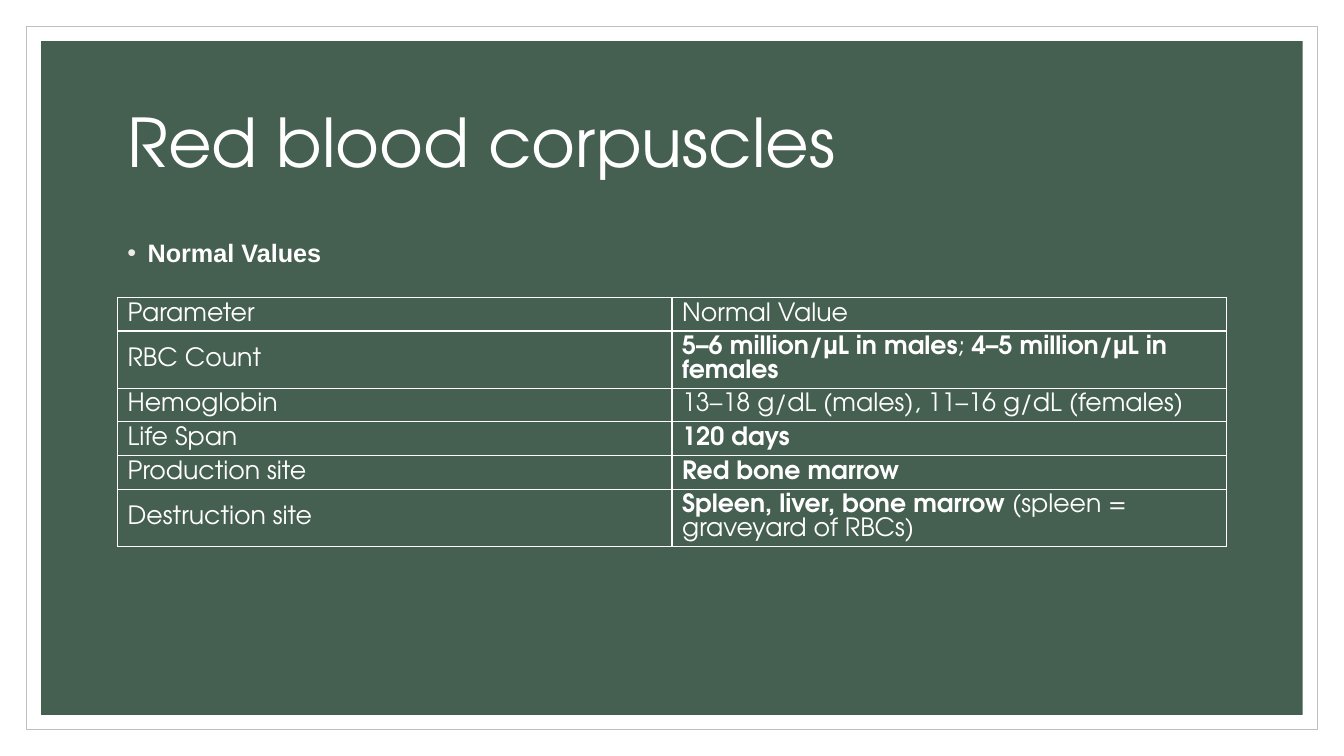
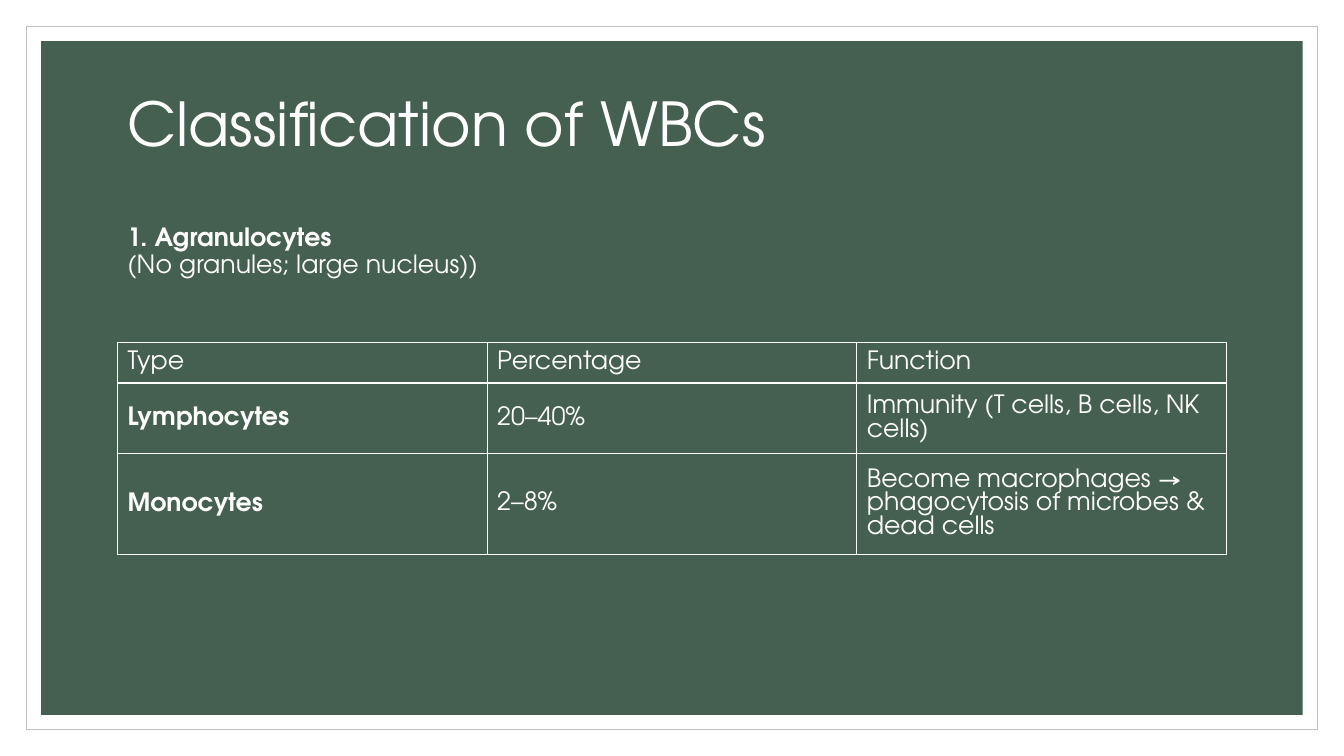
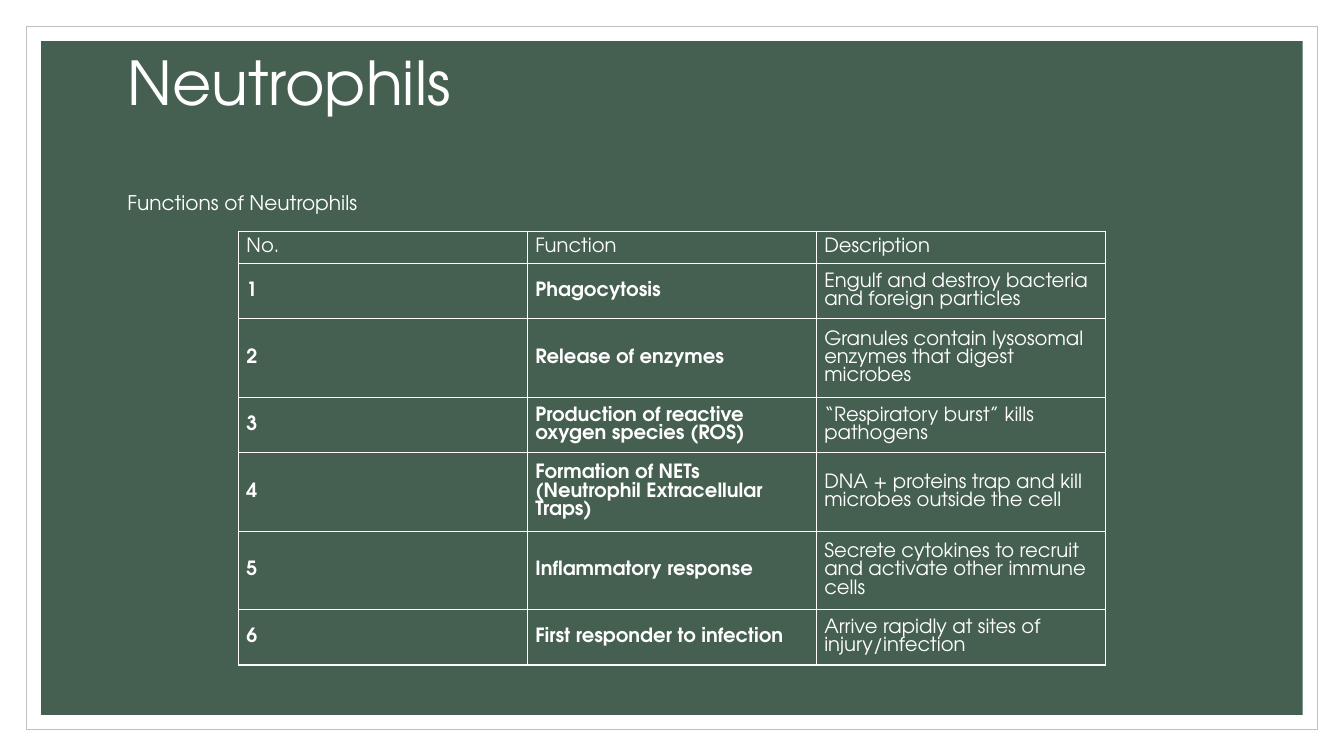
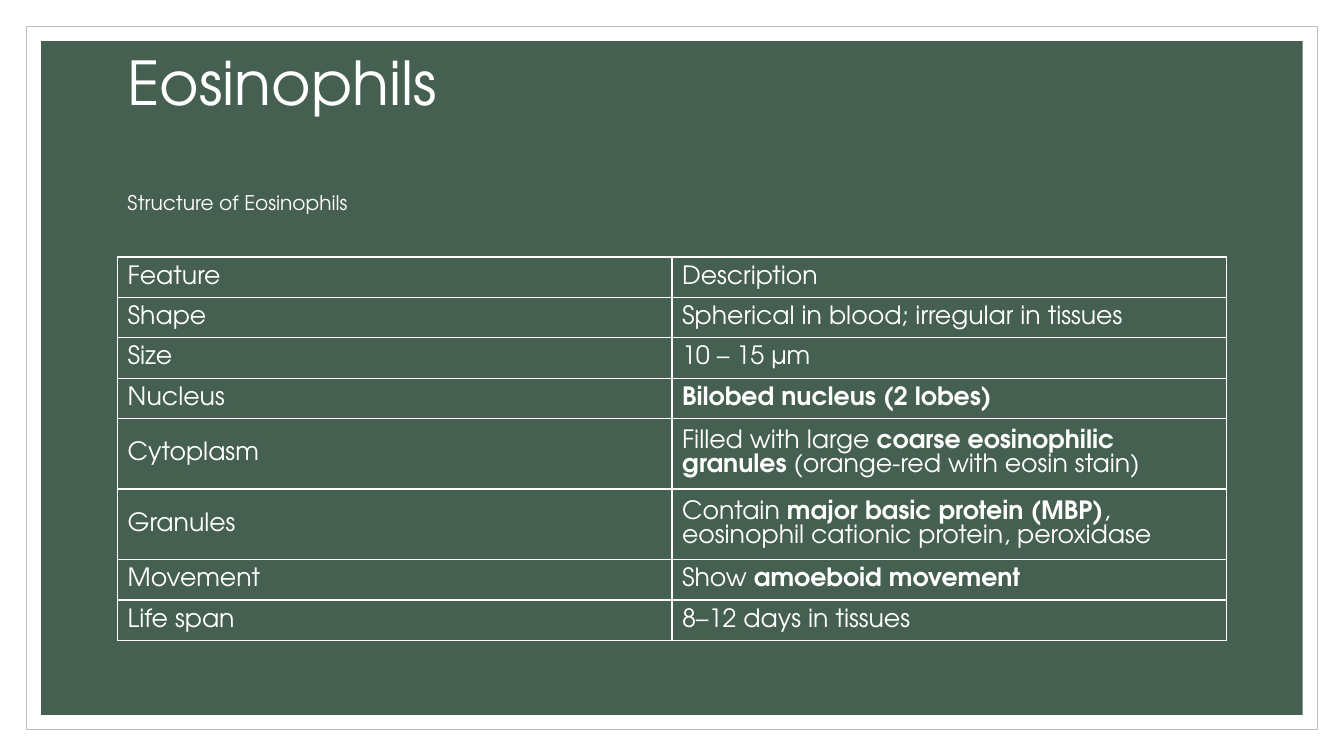
from lxml.etree import SubElement
from pptx import Presentation
from pptx.dml.color import RGBColor
from pptx.enum.shapes import MSO_SHAPE
from pptx.enum.text import MSO_ANCHOR
from pptx.oxml import parse_xml
from pptx.oxml.ns import nsdecls, qn
from pptx.util import Pt

# Shared look
SLIDE_W, SLIDE_H = 960, 540
WHITE, GREEN, RULE, BULLET = "FFFFFF", "455F51", "BFBFBF", "EEEBE3"
FONT = "TeX Gyre Adventor"
LEFT, WIDTH, TITLE_H = 84, 792, 108
TITLE_SIZE = 43.2
LINE_RATIO = 1.2  # line height of the font relative to its size


def color(hex_string):
    return RGBColor.from_string(hex_string)


def add_run(paragraph, text, size, bold=False, font=FONT):
    run = paragraph.add_run()
    run.text = text
    run.font.size, run.font.name, run.font.bold = Pt(size), font, bold
    run.font.color.rgb = color(WHITE)


def add_marked_text(paragraph, text, size):
    """Add text in which ** switches bold on and off."""
    for index, part in enumerate(text.split("**")):
        if part:
            add_run(paragraph, part, size, bold=index % 2 == 1)


def add_panel(slide, margin, fill, line=None):
    panel = slide.shapes.add_shape(
        MSO_SHAPE.RECTANGLE, Pt(margin), Pt(margin),
        Pt(SLIDE_W - 2 * margin), Pt(SLIDE_H - 2 * margin))
    panel.shadow.inherit = False
    panel.fill.solid()
    panel.fill.fore_color.rgb = color(fill)
    if line:
        panel.line.color.rgb = color(line)
        panel.line.width = Pt(0.5)
    else:
        panel.line.fill.background()


def add_framed_slide(deck):
    slide = deck.slides.add_slide(deck.slide_layouts[6])
    add_panel(slide, 18.7, WHITE, RULE)
    add_panel(slide, 29.4, GREEN)
    return slide


def add_text_box(slide, top, height, anchor):
    frame = slide.shapes.add_textbox(
        Pt(LEFT), Pt(top), Pt(WIDTH), Pt(height)).text_frame
    frame.word_wrap = True
    frame.vertical_anchor = anchor
    return frame


def add_heading(slide, top, title, subtitles=(), size=TITLE_SIZE,
                subtitle_size=18, spacing=0.9, raise_lines=0):
    """Title with subtitles one title line below it; raise_lines lifts the block."""
    frame = add_text_box(slide, top, TITLE_H, MSO_ANCHOR.MIDDLE)
    title_line = size * LINE_RATIO * spacing
    frame.margin_bottom = Pt(round(3.6 + raise_lines * title_line, 1))
    paragraph = frame.paragraphs[0]
    paragraph.line_spacing = spacing
    add_run(paragraph, title, size)
    for index, subtitle in enumerate(subtitles):
        paragraph = frame.add_paragraph()
        paragraph.line_spacing = spacing
        paragraph.space_before = Pt(round(title_line, 1) if index == 0 else 0)
        add_marked_text(paragraph, subtitle, subtitle_size)


def add_bullet(slide, top, height, text):
    frame = add_text_box(slide, top, height, MSO_ANCHOR.TOP)
    paragraph = frame.paragraphs[0]
    properties = paragraph._p.get_or_add_pPr()
    properties.set("marL", str(Pt(14.4)))
    properties.set("indent", str(-Pt(14.4)))
    bullet_color = SubElement(properties, qn("a:buClr"))
    SubElement(bullet_color, qn("a:srgbClr")).set("val", BULLET)
    SubElement(properties, qn("a:buFont")).set("typeface", "Arial")
    SubElement(properties, qn("a:buChar")).set("char", "•")
    add_run(paragraph, text, 18, bold=True, font="Arial")


def add_borders(cell):
    properties = cell._tc.get_or_add_tcPr()
    for index, side in enumerate(("lnL", "lnR", "lnT", "lnB")):
        properties.insert(index, parse_xml(
            f'<a:{side} {nsdecls("a")} w="{Pt(1)}"><a:solidFill>'
            f'<a:srgbClr val="{WHITE}"/></a:solidFill></a:{side}>'))


def add_grid(slide, top, rows, line_counts, left=LEFT, width=WIDTH,
             size=18, exact_line=None, inset_x=7.2, inset_y=3.6):
    """Table with equal columns; each row is as high as its number of lines."""
    line_height = exact_line or size * LINE_RATIO
    heights = [count * line_height + 2 * inset_y for count in line_counts]
    columns = len(rows[0])
    table = slide.shapes.add_table(
        len(rows), columns, Pt(left), Pt(top), Pt(width), Pt(sum(heights))).table
    table.first_row = table.horz_banding = False
    for column in table.columns:
        column.width = Pt(width / columns)
    for row, height, texts in zip(table.rows, heights, rows):
        row.height = Pt(height)
        for cell, text in zip(row.cells, texts):
            cell.fill.background()
            cell.vertical_anchor = MSO_ANCHOR.MIDDLE
            cell.margin_left = cell.margin_right = Pt(inset_x)
            cell.margin_top = cell.margin_bottom = Pt(inset_y)
            add_borders(cell)
            paragraph = cell.text_frame.paragraphs[0]
            if exact_line:
                paragraph.line_spacing = Pt(exact_line)
            add_marked_text(paragraph, text, size)


# Slides
def add_red_cells(deck):
    slide = add_framed_slide(deck)
    add_heading(slide, 50.4, "Red blood corpuscles", size=48)
    add_bullet(slide, 166, 309.6, "Normal Values")
    add_grid(slide, 212.4, [
        ("Parameter", "Normal Value"),
        ("RBC Count", "**5–6 million/µL in males**; **4–5 million/µL in females**"),
        ("Hemoglobin", "13–18 g/dL (males), 11–16 g/dL (females)"),
        ("Life Span", "**120 days**"),
        ("Production site", "**Red bone marrow**"),
        ("Destruction site",
         "**Spleen, liver, bone marrow** (spleen = graveyard of RBCs)"),
    ], (1, 2, 1, 1, 1, 2), exact_line=16.8)


def add_white_cells(deck):
    slide = add_framed_slide(deck)
    add_heading(slide, 79.2, "Classification of WBCs",
                ("**1. Agranulocytes**", "(No granules; large nucleus))"))
    add_grid(slide, 244.8, [
        ("Type", "Percentage", "Function"),
        ("**Lymphocytes**", "20–40%", "Immunity (T cells, B cells, NK cells)"),
        ("**Monocytes**", "2–8%",
         "Become macrophages → phagocytosis of microbes & dead cells"),
    ], (1, 2, 3))


def add_neutrophils(deck):
    slide = add_framed_slide(deck)
    add_heading(slide, 64.8, "Neutrophils", ("Functions of Neutrophils",),
                subtitle_size=14.4, spacing=1.0, raise_lines=1)
    functions = [
        ("Phagocytosis", "Engulf and destroy bacteria and foreign particles"),
        ("Release of enzymes",
         "Granules contain lysosomal enzymes that digest microbes"),
        ("Production of reactive oxygen species (ROS)",
         "“Respiratory burst” kills pathogens"),
        ("Formation of NETs (Neutrophil Extracellular Traps)",
         "DNA + proteins trap and kill microbes outside the cell"),
        ("Inflammatory response",
         "Secrete cytokines to recruit and activate other immune cells"),
        ("First responder to infection",
         "Arrive rapidly at sites of injury/infection"),
    ]
    rows = [("No.", "Function", "Description")]
    rows += [(f"**{number}**", f"**{function}**", description)
             for number, (function, description) in enumerate(functions, 1)]
    add_grid(slide, 165.4, rows, (1, 2, 3, 2, 3, 3, 2), left=170.4, width=619.2,
             size=14, inset_x=5.6, inset_y=2.9)


def add_eosinophils(deck):
    slide = add_framed_slide(deck)
    add_heading(slide, 64.8, "Eosinophils", ("Structure of Eosinophils",),
                subtitle_size=14.4, spacing=1.0, raise_lines=1)
    add_grid(slide, 183.6, [
        ("Feature", "Description"),
        ("Shape", "Spherical in blood; irregular in tissues"),
        ("Size", "10 – 15 µm"),
        ("Nucleus", "**Bilobed nucleus (2 lobes)**"),
        ("Cytoplasm", "Filled with large **coarse eosinophilic granules** "
                      "(orange-red with eosin stain)"),
        ("Granules", "Contain **major basic protein (MBP)**, "
                     "eosinophil cationic protein, peroxidase"),
        ("Movement", "Show **amoeboid movement**"),
        ("Life span", "8–12 days in tissues"),
    ], (1, 1, 1, 1, 2, 2, 1, 1))


def main():
    deck = Presentation()
    deck.slide_width, deck.slide_height = Pt(SLIDE_W), Pt(SLIDE_H)
    for add_slide in (add_red_cells, add_white_cells,
                      add_neutrophils, add_eosinophils):
        add_slide(deck)
    deck.save("out.pptx")


if __name__ == "__main__":
    main()
